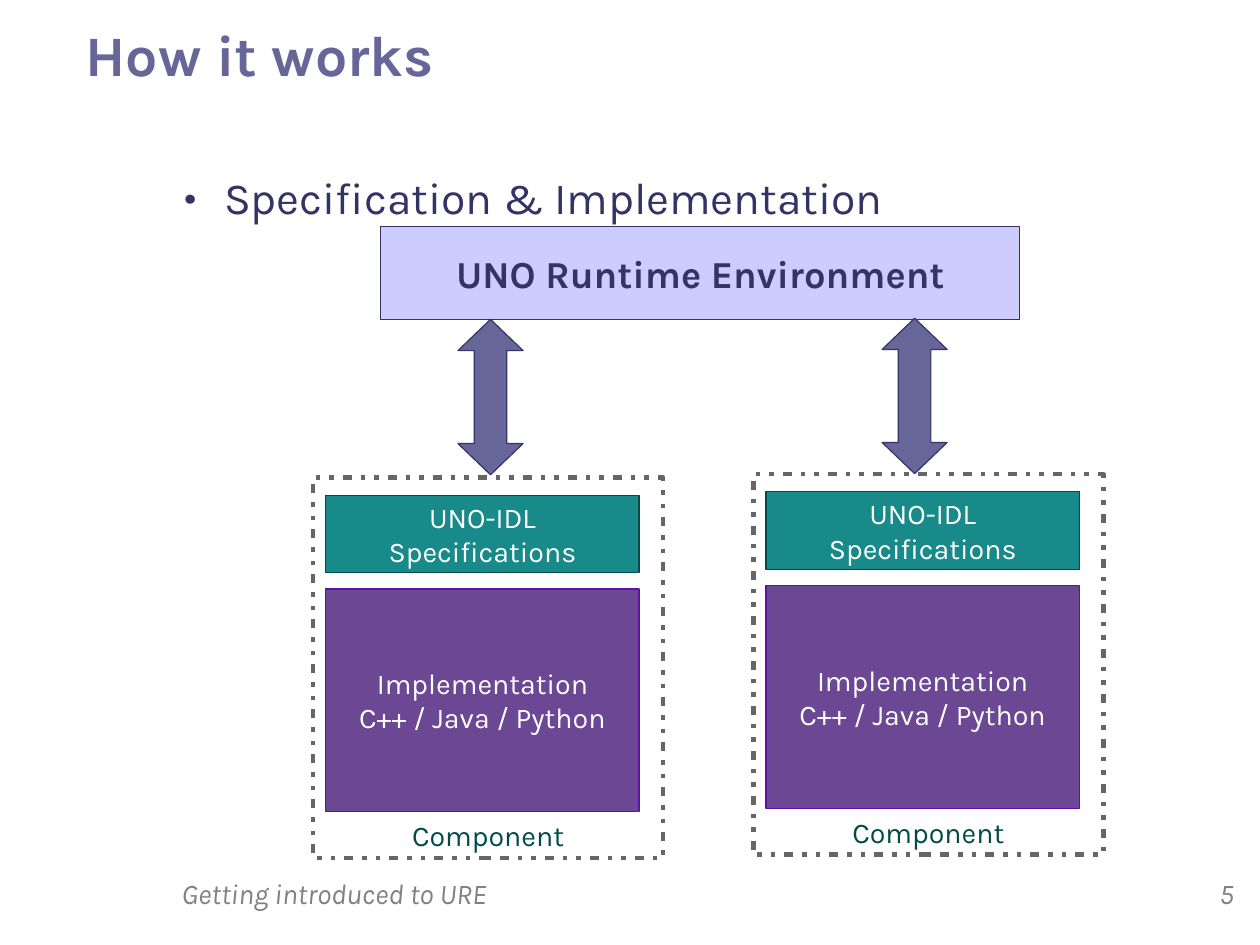
from dataclasses import dataclass
from lxml.etree import SubElement
from pptx import Presentation
from pptx.dml.color import RGBColor
from pptx.enum.shapes import MSO_SHAPE as Shape
from pptx.enum.text import MSO_ANCHOR as Anchor, PP_ALIGN as Align
from pptx.oxml.ns import qn
from pptx.util import Cm, Inches, Pt


@dataclass(frozen=True)
class Theme:
    font: str = "Karla"
    title: str = "666699"
    ink: str = "333366"
    pale: str = "CCCCFF"
    grey: str = "808080"
    frame: str = "666666"
    teal: str = "198A8A"
    dark_teal: str = "004A4A"
    purple: str = "6B4794"
    violet: str = "5E11A6"
    white: str = "FFFFFF"
    title_size: int = 36
    body_size: int = 28
    box_size: int = 24
    small_size: int = 18


T = Theme()
WIDTH, HEIGHT = Cm(28), Cm(21)

# Content: places are left, top, width, height in percent of the slide
SMALL = dict(size=T.small_size)
NOTE = dict(size=T.small_size, color=T.grey, italic=True)
PADDED, FLUSH = (0.1, 0.05), (0, 0)

TEXTS = [
    ("5", (84.39, 92.14, 14.43, 5.08), NOTE, PADDED, Align.RIGHT, Anchor.TOP),
    ("Getting introduced to URE", (13.52, 92.14, 50, 4.96), NOTE, PADDED, Align.LEFT, Anchor.TOP),
    ("How it works", (1.45, 1.81, 58.17, 7.75),
     dict(size=T.title_size, color=T.title, bold=True), FLUSH, Align.LEFT, Anchor.MIDDLE),
    ("Specification & Implementation", (13.52, 18.02, 84.39, 72.07),
     dict(size=T.body_size, color=T.ink), FLUSH, Align.LEFT, Anchor.TOP),
]
INDENTS = {"How it works": (0.59, 0), "Specification & Implementation": (0.47, -0.35)}
BULLETED = "Specification & Implementation"

RUNTIME = ("UNO Runtime Environment", (30.22, 23.94, 50.73, 9.92))
ARROWS = [(32.76, 38.57), (66.42, 38.45)]
ARROW_SIZE = (12.34, 6.89)  # before the quarter turn
COMPONENTS = [(24.86, 50.54), (59.8, 50.18)]

# Parts of a component: text, offset and size, fill, line, line width, text colour, anchor
PARTS = [
    ("Component", (0, 0, 27.77, 40.27), None, T.frame, 2.83, T.dark_teal, Anchor.BOTTOM),
    ("UNO-IDL\vSpecifications", (1, 1.87, 24.86, 8.22),
     T.teal, T.dark_teal, 0, T.white, Anchor.MIDDLE),
    ("Implementation\nC++ / Java / Python", (1, 11.79, 24.86, 23.58),
     T.purple, T.violet, 0, T.white, Anchor.MIDDLE),
]
DASHES = [(2, 2), (1, 2), (1, 2)]  # mark and gap, in line widths


def place(left, top, width, height):
    return [round(share * side / 100) for share, side in
            zip((left, top, width, height), (WIDTH, HEIGHT) * 2)]


def write(shape, text, style, inset=PADDED, align=Align.CENTER, anchor=Anchor.MIDDLE):
    tf = shape.text_frame
    x, y = map(Inches, inset)
    for name, value in dict(word_wrap=True, vertical_anchor=anchor, margin_left=x,
                            margin_right=x, margin_top=y, margin_bottom=y).items():
        setattr(tf, name, value)
    tf.text = text
    formats = dict(name=T.font, **style)
    color = RGBColor.from_string(formats.pop("color"))
    formats["size"] = Pt(formats["size"])
    for p in tf.paragraphs:
        p.alignment = align
        for r in p.runs:
            for name, value in formats.items():
                setattr(r.font, name, value)
            r.font.color.rgb = color
    return tf


def draw(shapes, kind, box, fill, line, width=0):
    sp = shapes.add_shape(kind, *place(*box))
    sp.shadow.inherit = False
    if fill:
        sp.fill.solid()
        sp.fill.fore_color.rgb = RGBColor.from_string(fill)
    else:
        sp.fill.background()
    sp.line.color.rgb = RGBColor.from_string(line)
    sp.line.width = Pt(width)
    return sp


def dash(sp):
    pattern = SubElement(sp._element.spPr.find(qn("a:ln")), qn("a:custDash"))
    for mark, gap in DASHES:
        SubElement(pattern, qn("a:ds"), d=str(mark * 100000), sp=str(gap * 100000))


def indent(p, left, first, bullet):
    pPr = p._p.get_or_add_pPr()
    pPr.set("marL", str(Inches(left)))
    pPr.set("indent", str(Inches(first)))
    if bullet:
        SubElement(pPr, qn("a:buFont"), typeface=T.font)
        SubElement(pPr, qn("a:buChar"), char="•")


def main():
    prs = Presentation()
    prs.slide_width, prs.slide_height = WIDTH, HEIGHT
    s = prs.slides.add_slide(prs.slide_layouts[6])

    # Footer, title and bullet
    for text, box, *look in TEXTS:
        tf = write(s.shapes.add_textbox(*place(*box)), text, *look)
        if text in INDENTS:
            indent(tf.paragraphs[0], *INDENTS[text], text == BULLETED)

    # Runtime box
    text, box = RUNTIME
    runtime = draw(s.shapes, Shape.RECTANGLE, box, T.pale, T.ink)
    write(runtime, text, dict(size=T.box_size, color=T.ink, bold=True))

    # Components
    for left, top in COMPONENTS:
        group = s.shapes.add_group_shape()
        for text, (dx, dy, w, h), fill, line, width, color, anchor in PARTS:
            sp = draw(group.shapes, Shape.RECTANGLE, (left + dx, top + dy, w, h),
                      fill, line, width)
            write(sp, text, dict(SMALL, color=color), anchor=anchor)
            if fill is None:
                dash(sp)

    # Arrows between the runtime and its components
    for corner in ARROWS:
        arrow = draw(s.shapes, Shape.LEFT_RIGHT_ARROW, corner + ARROW_SIZE, T.title, T.ink)
        arrow.rotation = 270
        arrow.adjustments[0], arrow.adjustments[1] = 0.5, 0.48

    prs.save("out.pptx")


if __name__ == "__main__":
    main()
